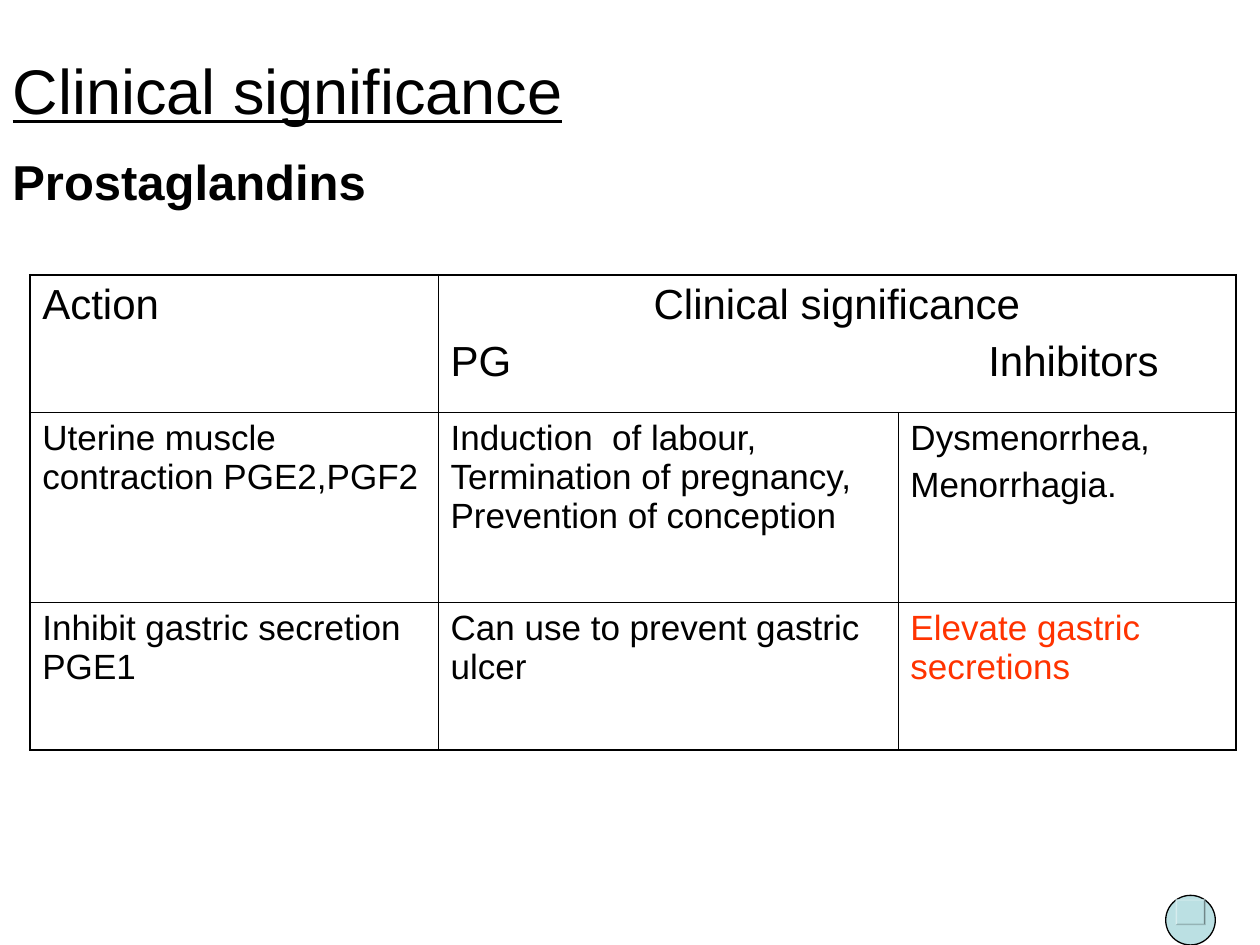
"""Build the slide on the clinical significance of prostaglandins."""
import pptx
import pptx.dml.color
import pptx.enum.shapes
import pptx.enum.text
import pptx.oxml
import pptx.oxml.ns
import pptx.util
from pptx.util import Cm, Pt

TITLE = "Clinical significance"
TOPIC = "Prostaglandins"
ROWS = [
    ["Action", "Clinical significance\nPG\tInhibitors", ""],
    ["Uterine muscle contraction PGE2,PGF2",
     "Induction  of labour, Termination of pregnancy,\nPrevention of conception",
     "Dysmenorrhea,\nMenorrhagia."],
    ["Inhibit gastric secretion PGE1", "Can use to prevent gastric ulcer",
     "Elevate gastric secretions"],
]
WIDTHS = [8.23, 9.27, 6.81]
HEIGHTS = [2.77, 3.84, 2.97]
GAPS = {(0, 1): 6, (1, 2): 5}
INKS = {(2, 2): "FF3300"}
BLACK, TEAL = "000000", "BBE0E3"
THICK, THIN = 1.08, 0.45
TAB = 10.84


def rgb(code):
    return pptx.dml.color.RGBColor.from_string(code)


def style(frame, size, ink=BLACK, gap=0, bold=False, under=False):
    for i, para in enumerate(frame.paragraphs):
        para.space_before = Pt(gap if i else 0)
        para.alignment = pptx.enum.text.PP_ALIGN.LEFT
        for run in para.runs:
            font = run.font
            font.name, font.size = "Arial", Pt(size)
            font.bold, font.underline = bold, under
            font.color.rgb = rgb(ink)


def place(shape, left, top, width, height):
    shape.left, shape.top = Cm(left), Cm(top)
    shape.width, shape.height = Cm(width), Cm(height)


def label(shape, text, size, **look):
    frame = shape.text_frame
    frame.text = text
    frame.word_wrap = True
    frame.auto_size = pptx.enum.text.MSO_AUTO_SIZE.NONE
    frame.vertical_anchor = pptx.enum.text.MSO_ANCHOR.TOP
    style(frame, size, **look)


def border(cell, outer):
    props = cell._tc.get_or_add_tcPr()
    for i, side in enumerate("LRTB"):
        width = Pt(THICK if outer[side] else THIN)
        props.insert(i, pptx.oxml.parse_xml(
            f'<a:ln{side} {pptx.oxml.ns.nsdecls("a")} w="{width}"><a:solidFill>'
            f'<a:srgbClr val="{BLACK}"/></a:solidFill></a:ln{side}>'))


def grid(slide):
    frame = slide.shapes.add_table(
        len(ROWS), len(WIDTHS), Cm(0.6), Cm(5.54), Cm(sum(WIDTHS)), Cm(sum(HEIGHTS)))
    table = frame.table
    table.first_row = table.horz_banding = False
    for col, width in zip(table.columns, WIDTHS):
        col.width = Cm(width)
    for row, height in zip(table.rows, HEIGHTS):
        row.height = Cm(height)
    head = table.cell(0, 1)
    head.merge(table.cell(0, 2))
    for r, texts in enumerate(ROWS):
        for c, text in enumerate(texts):
            cell = table.cell(r, c)
            cell.text = text
            cell.fill.background()
            style(cell.text_frame, 20 if r else 24,
                  INKS.get((r, c), BLACK), GAPS.get((r, c), 0))
            last = c + (cell.span_width if cell.is_merge_origin else 1)
            border(cell, {"L": c == 0, "R": last == len(WIDTHS),
                          "T": r == 0, "B": r == len(ROWS) - 1})
    top, split = head.text_frame.paragraphs
    top.alignment = pptx.enum.text.PP_ALIGN.CENTER
    split._p.get_or_add_pPr().append(pptx.oxml.parse_xml(
        f'<a:tabLst {pptx.oxml.ns.nsdecls("a")}><a:tab pos="{Cm(TAB)}" algn="l"/></a:tabLst>'))


def button(slide):
    kinds = pptx.enum.shapes.MSO_SHAPE
    disc = slide.shapes.add_shape(kinds.OVAL, Cm(23.5), Cm(18.05), Cm(1), Cm(1))
    plate = slide.shapes.add_shape(kinds.BEVEL, Cm(23.7), Cm(18.13), Cm(0.6), Cm(0.52))
    plate.adjustments[0] = 0.06
    for shape in (disc, plate):
        shape.shadow.inherit = False
        shape.fill.solid()
        shape.fill.fore_color.rgb = rgb(TEAL)
    disc.line.color.rgb = rgb(BLACK)
    disc.line.width = Pt(0.75)
    plate.line.fill.background()


def main():
    deck = pptx.Presentation()
    deck.slide_width, deck.slide_height = Cm(25.4), Cm(19.05)
    slide = deck.slides.add_slide(deck.slide_layouts[5])
    title = slide.shapes.title
    place(title, 0, 0.91, 15.7, 1.78)
    label(title, TITLE, 36, under=True)
    topic = slide.shapes.add_textbox(0, Cm(2.92), Cm(20.42), Cm(2.39))
    label(topic, TOPIC, 28, bold=True)
    grid(slide)
    button(slide)
    deck.save("out.pptx")


if __name__ == "__main__":
    main()
